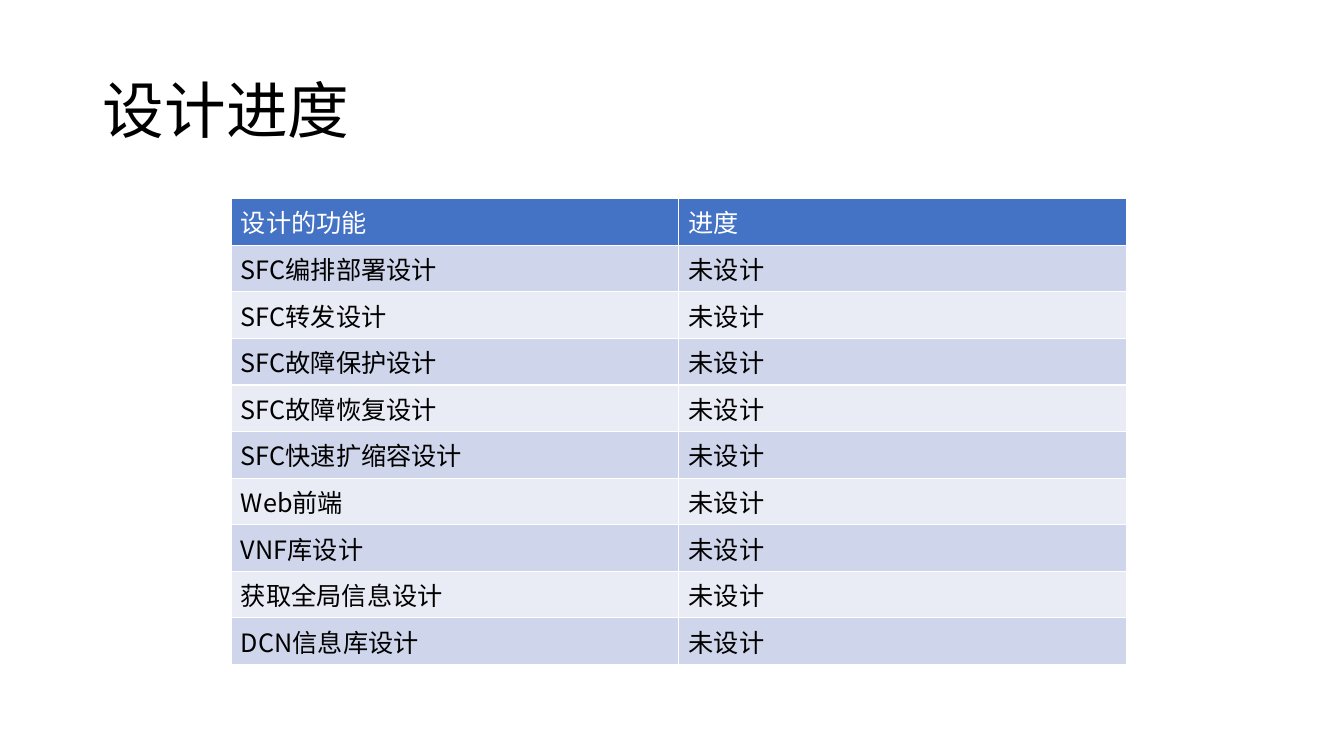
"""Build the design progress slide with its status table."""
import pptx
import pptx.dml.color
import pptx.enum.text
import pptx.oxml
import pptx.oxml.ns
import pptx.util
from pptx.util import Inches

FACE = "Noto Sans CJK SC"
STATE = "未设计"
TASKS = [
    "SFC编排部署设计",
    "SFC转发设计",
    "SFC故障保护设计",
    "SFC故障恢复设计",
    "SFC快速扩缩容设计",
    "Web前端",
    "VNF库设计",
    "获取全局信息设计",
    "DCN信息库设计",
]
HEAD, DARK, LIGHT = "4472C4", "CFD5EA", "E9EBF5"
NS = pptx.oxml.ns.nsdecls("a")


def color(code):
    return pptx.dml.color.RGBColor.from_string(code)


def write(frame, text, size, code):
    run = frame.paragraphs[0].add_run()
    run.text = text
    font = run.font
    font.size = pptx.util.Pt(size)
    font.bold = False
    font.color.rgb = color(code)
    font.name = FACE
    east = pptx.oxml.parse_xml(f'<a:ea {NS} typeface="{FACE}"/>')
    run._r.get_or_add_rPr().append(east)


deck = pptx.Presentation()
deck.slide_width = Inches(13.33)
deck.slide_height = Inches(7.5)
slide = deck.slides.add_slide(deck.slide_layouts[5])

title = slide.shapes.title
title.left, title.top = Inches(0.92), Inches(0.4)
title.width, title.height = Inches(11.5), Inches(1.45)
frame = title.text_frame
frame.vertical_anchor = pptx.enum.text.MSO_ANCHOR.MIDDLE
frame.paragraphs[0].alignment = pptx.enum.text.PP_ALIGN.LEFT
frame.paragraphs[0].line_spacing = 0.9
write(frame, "设计进度", 44, "000000")

rows = [("设计的功能", "进度")] + [(task, STATE) for task in TASKS]
table = slide.shapes.add_table(
    len(rows), 2, Inches(2.29), Inches(1.97), Inches(8.88), Inches(0.46 * len(rows))
).table
for i, row in enumerate(rows):
    back = HEAD if i == 0 else DARK if i % 2 else LIGHT
    for j, text in enumerate(row):
        cell = table.cell(i, j)
        props = cell._tc.get_or_add_tcPr()
        for side in "LRTB":
            props.append(pptx.oxml.parse_xml(
                f'<a:ln{side} {NS} w="12700"><a:solidFill>'
                f'<a:srgbClr val="FFFFFF"/></a:solidFill></a:ln{side}>'
            ))
        cell.fill.solid()
        cell.fill.fore_color.rgb = color(back)
        write(cell.text_frame, text, 18, "000000" if i else "FFFFFF")

deck.save("out.pptx")
